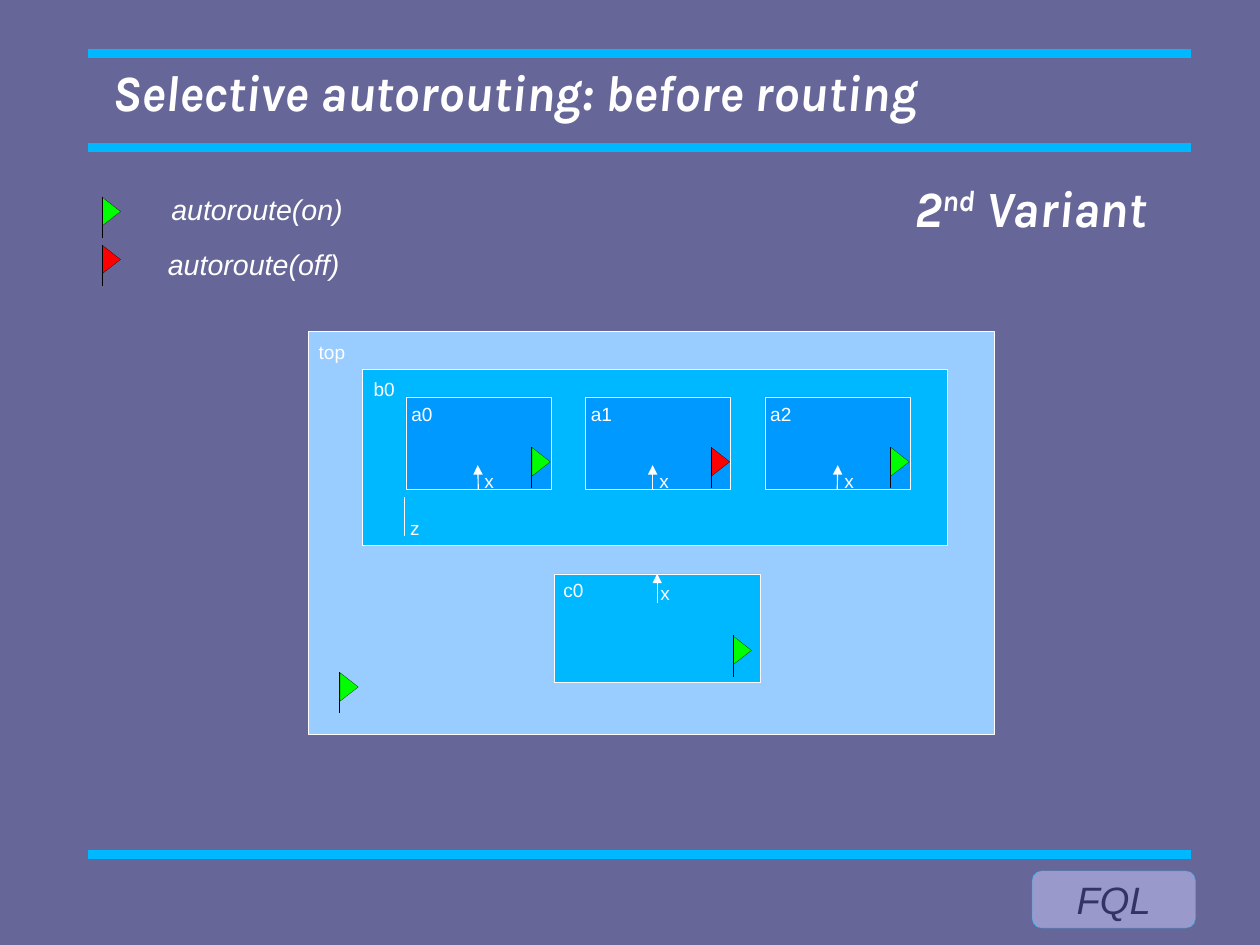
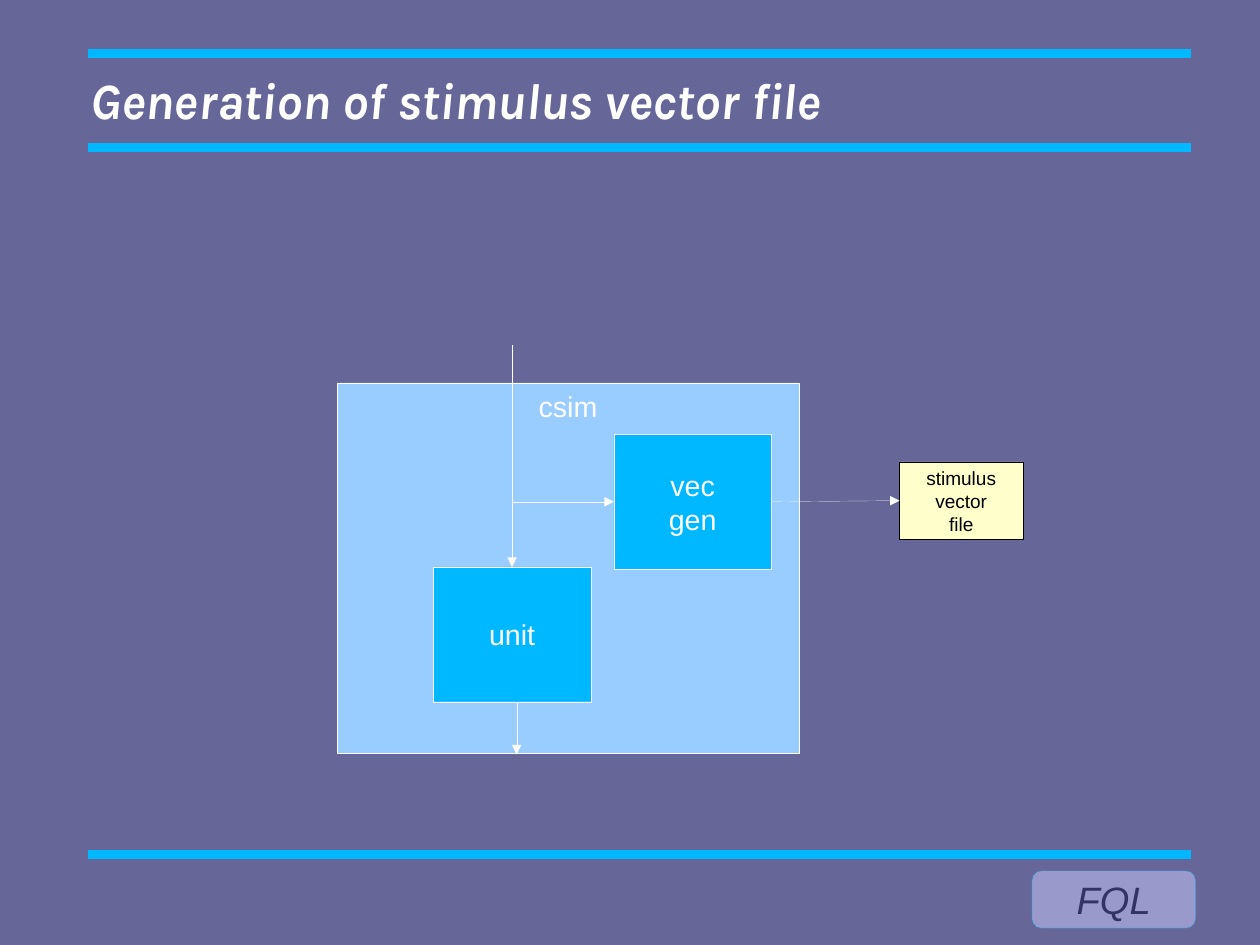
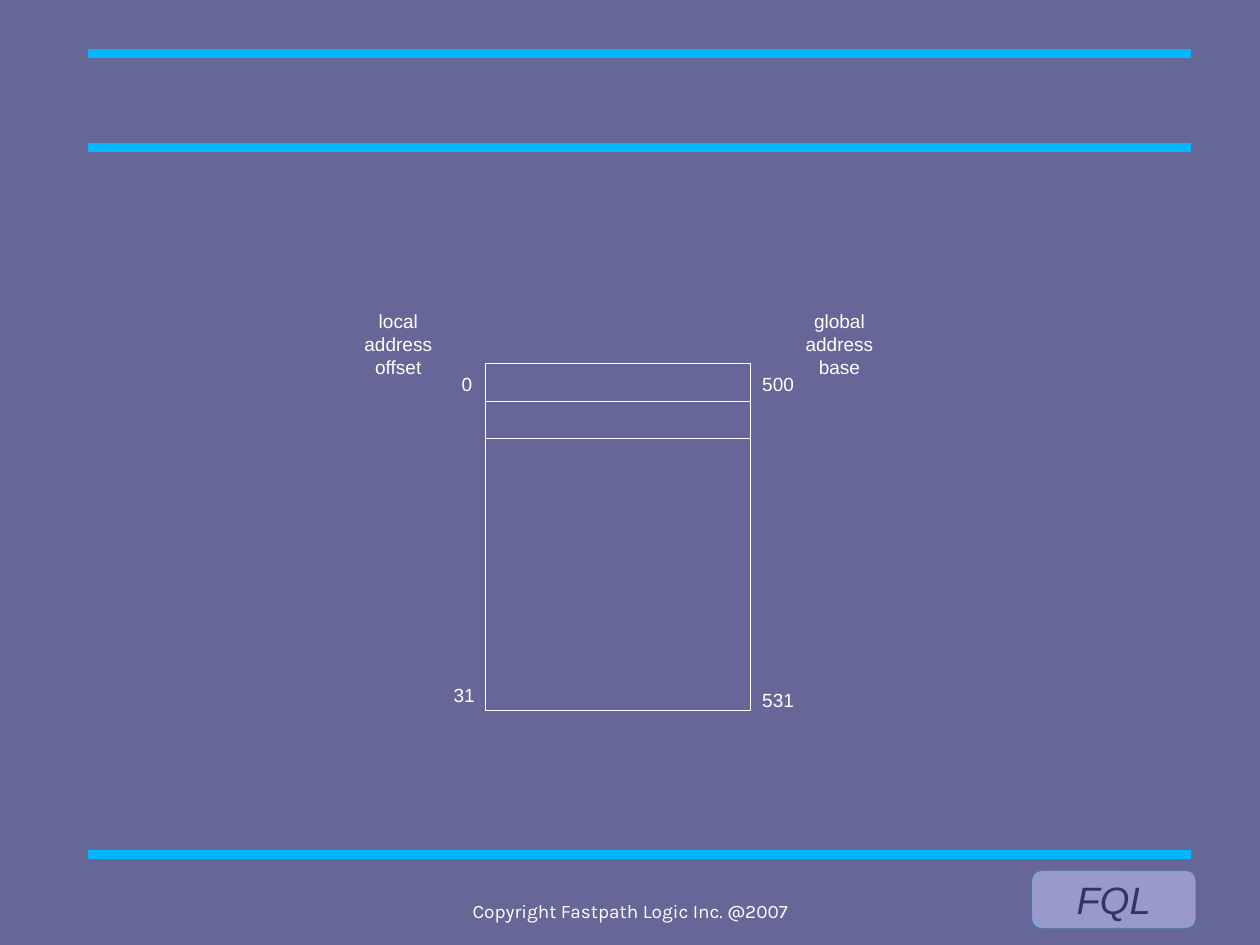
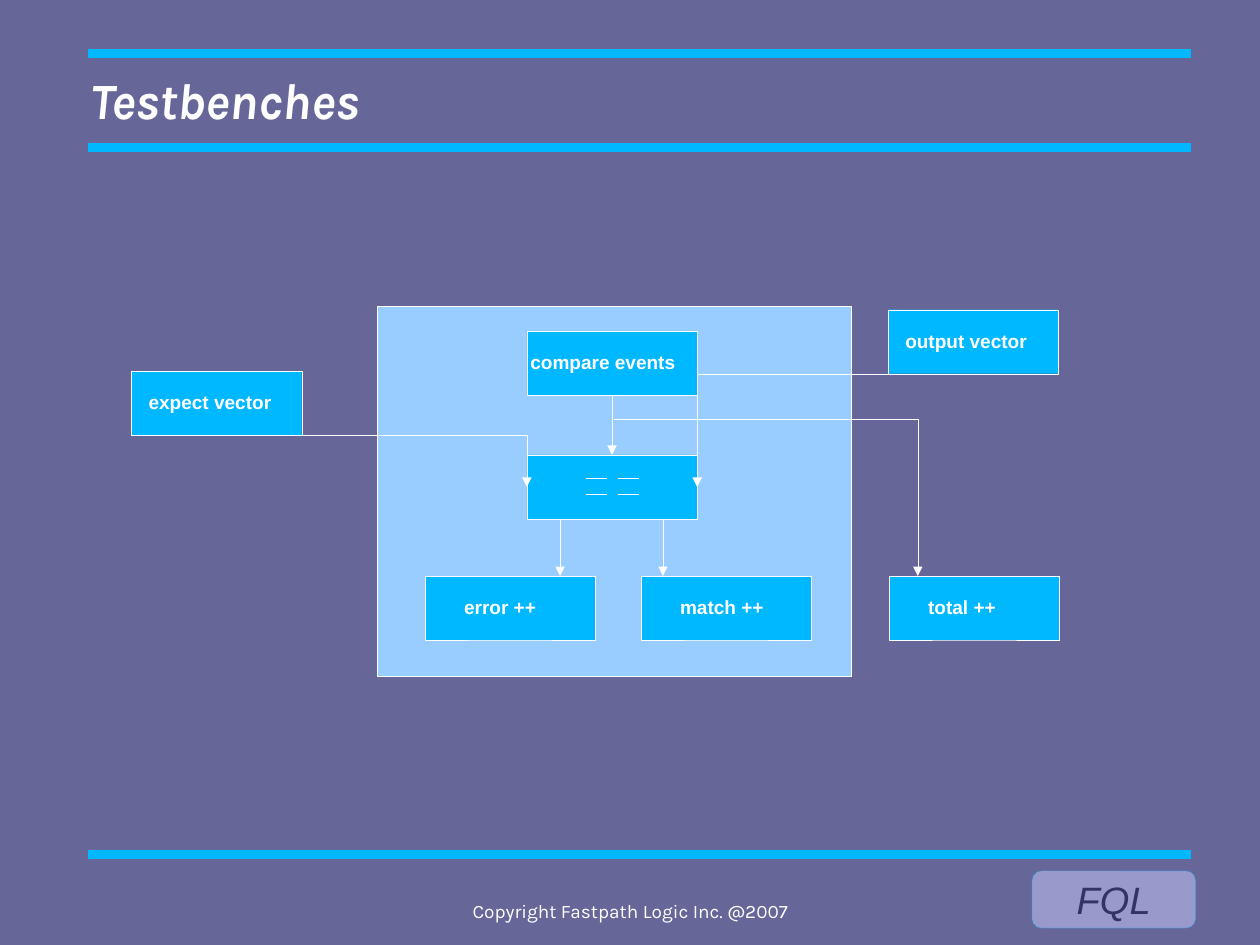
from lxml.etree import SubElement
from pptx import Presentation
from pptx.dml.color import RGBColor
from pptx.enum.shapes import MSO_CONNECTOR, MSO_SHAPE
from pptx.enum.text import MSO_ANCHOR, MSO_AUTO_SIZE, PP_ALIGN
from pptx.oxml.ns import qn
from pptx.util import Cm, Inches, Pt

WIDTH_CM, HEIGHT_CM = 28, 21
HAIRLINE = 0.1
WHITE, BLACK, PURPLE = "FFFFFF", "000000", "666699"
PALE, CYAN, BLUE, CREAM = "99CCFF", "00B8FF", "0099FF", "FFFFCC"
GREEN, RED = "00FF00", "FF0000"
BANDS = (0.47, 7.48, 1.29)
BAND_LEFT, BAND_RIGHT = 0.77, 10.42
BADGE = "FQL"
COPYRIGHT = "Copyright Fastpath Logic Inc. @2007"
TITLE_BOX = (0.79, 0.28, 9.41, 1.18)
TITLE_FORMAT = dict(size=32, font="Karla", bold=True, italic=True,
                    anchor=MSO_ANCHOR.MIDDLE, insets=(0, 0, 0, 0))

LEGEND = [("autoroute(on)", GREEN, 1.4, 1.63, 1.72),
          ("autoroute(off)", RED, 1.37, 2.11, 2.14)]
CELLS = [("a0", GREEN, 4.18), ("a1", RED, 5.71), ("a2", GREEN, 7.33)]
CELL_LEFT, CELL_TOP, CELL_STEP, CELL_W, CELL_H = 3.55, 3.47, 1.57, 1.27, 0.81

ADDRESS_BOX = (4.24, 3.18, 2.32, 3.03)
ADDRESS_ROWS = (3.51, 3.83)
ADDRESS_LABELS = [("0", 3.94, 3.21), ("31", 3.87, 5.93),
                  ("500", 6.57, 3.21), ("531", 6.57, 5.97)]
ADDRESS_HEADS = [("local\naddress\noffset", 3.05), ("global\naddress\nbase", 6.91)]

STEP_W, STEP_H = 1.49, 0.56
STEPS = [("expect vector", 1.15, 3.25, 0.15), ("compare events", 4.61, 2.9, 0.03),
         ("error ++", 3.72, 5.04, 0.34), ("match ++", 5.61, 5.04, 0.34),
         ("total ++", 7.78, 5.04, 0.34), ("output vector", 7.77, 2.71, 0.15),
         ("", 4.61, 3.98, 0)]
EQUALS_X, EQUALS_Y, EQUALS_DASH = (5.13, 5.41), (4.18, 4.32), 0.18
ELBOWS = [(1.9, 3.81, 4.61, 4.26), (5.37, 3.67, 8.03, 5.04), (8.52, 3.27, 6.1, 4.26)]


def color(hex_text):
    return RGBColor.from_string(hex_text)


def inches(*lengths):
    return [Inches(length) for length in lengths]


def write(shape, text, size=12, font="Arial", fill=WHITE, bold=False, italic=False,
          align=PP_ALIGN.LEFT, anchor=MSO_ANCHOR.TOP, insets=(0.1, 0.05, 0.1, 0.05)):
    frame = shape.text_frame
    frame.word_wrap = True
    frame.auto_size = MSO_AUTO_SIZE.NONE
    frame.vertical_anchor = anchor
    (frame.margin_left, frame.margin_top,
     frame.margin_right, frame.margin_bottom) = inches(*insets)
    for index, words in enumerate(text.split("\n")):
        paragraph = frame.add_paragraph() if index else frame.paragraphs[0]
        paragraph.alignment = align
        for piece in words.split("^"):
            run = paragraph.add_run()
            run.text = piece
            run.font.name, run.font.size = font, Pt(size)
            run.font.bold, run.font.italic = bold, italic
            run.font.color.rgb = color(fill)
    return shape


def label(slide, text, left, top, width=0.55, height=0.29, **style):
    return write(slide.shapes.add_textbox(*inches(left, top, width, height)), text, **style)


def block(slide, box, fill=None, outline=WHITE, kind=MSO_SHAPE.RECTANGLE):
    shape = slide.shapes.add_shape(kind, *inches(*box))
    shape.shadow.inherit = False
    if fill:
        shape.fill.solid()
        shape.fill.fore_color.rgb = color(fill)
    else:
        shape.fill.background()
    shape.line.color.rgb = color(outline)
    shape.line.width = Pt(HAIRLINE)
    return shape


def line(slide, x1, y1, x2, y2, stroke=WHITE, width=HAIRLINE, arrow=False, elbow=False,
         begin=None, end=None):
    connector = slide.shapes.add_connector(MSO_CONNECTOR.STRAIGHT, *inches(x1, y1, x2, y2))
    if begin:
        connector.begin_connect(*begin)
    if end:
        connector.end_connect(*end)
    connector.line.color.rgb = color(stroke)
    connector.line.width = Pt(width)
    if elbow:
        connector.element.xpath(".//a:prstGeom")[0].set("prst", "bentConnector2")
    if arrow:
        SubElement(connector.element.xpath(".//a:ln")[0], qn("a:tailEnd")).set("type", "triangle")
    SubElement(connector.element.spPr, qn("a:effectLst"))
    return connector


def flag(slide, x, y, fill):
    group = slide.shapes.add_group_shape()
    pennant = block(group, (x - 0.04, y + 0.05, 0.25, 0.16), fill, BLACK,
                    MSO_SHAPE.FLOWCHART_MERGE)
    pennant.rotation = 270
    line(group, x, y, x, y + 0.36, BLACK)


def add_slide(deck, title=None, box=TITLE_BOX):
    slide = deck.slides.add_slide(deck.slide_layouts[5 if title else 6])
    if title:
        heading = slide.shapes.title
        heading.left, heading.top, heading.width, heading.height = inches(*box)
        write(heading, title, **TITLE_FORMAT)
    return slide


def add_copyright(slide):
    label(slide, COPYRIGHT, 3.77, 7.87, 3.49, 0.23, font="Karla",
          align=PP_ALIGN.CENTER, insets=(0, 0, 0, 0))


def build_master(deck, slide):
    master = deck.slide_master
    master.background.fill.solid()
    master.background.fill.fore_color.rgb = color(PURPLE)
    shared = [line(slide, BAND_LEFT, y, BAND_RIGHT, y, CYAN, 5.67) for y in BANDS]
    badge = block(slide, (9.03, 7.62, 1.43, 0.5), "9999CC", CYAN, MSO_SHAPE.ROUNDED_RECTANGLE)
    shared.append(write(badge, BADGE, size=24, fill="333366", italic=True,
                        align=PP_ALIGN.CENTER, anchor=MSO_ANCHOR.MIDDLE, insets=(0, 0, 0, 0)))
    for number, part in enumerate(shared, 100):
        part.element.xpath(".//p:cNvPr")[0].set("id", str(number))
        master.shapes.element.append(part.element)


def build_autorouting(slide):
    block(slide, (2.7, 2.9, 6, 3.52), PALE)
    block(slide, (3.17, 3.23, 5.12, 1.54), CYAN)
    label(slide, "top", 2.69, 2.93)
    label(slide, "b0", 3.17, 3.25)
    bottom = CELL_TOP + CELL_H
    for index, (name, fill, arrow_x) in enumerate(CELLS):
        left = CELL_LEFT + index * CELL_STEP
        cell = block(slide, (left, CELL_TOP, CELL_W, CELL_H), BLUE)
        label(slide, name, left - 0.05, CELL_TOP)
        label(slide, "x", arrow_x - 0.04, 4.06, 0.4)
        centred = abs(left + CELL_W / 2 - arrow_x) < 0.03
        line(slide, arrow_x, bottom, arrow_x, 4.07, width=0.71, arrow=True,
             begin=(cell, 2) if centred else None)
        flag(slide, left + 1.1, 3.91, fill)
    line(slide, 3.54, 4.35, 3.54, 4.69, width=0.71)
    label(slide, "z", 3.49, 4.47, 0.4)
    c0 = block(slide, (4.85, 5.02, 1.8, 0.95), CYAN)
    label(slide, "c0", 4.83, 5.01)
    line(slide, 5.75, 5.28, 5.75, 5.02, width=0.71, arrow=True, end=(c0, 0))
    label(slide, "x", 5.68, 5.04, 0.4)
    flag(slide, 6.41, 5.56, GREEN)
    flag(slide, 2.97, 5.88, GREEN)
    for text, fill, left, top, flag_top in LEGEND:
        flag(slide, 0.89, flag_top, fill)
        label(slide, text, left, top, 1.78, 0.68, size=18, italic=True)
    variant = label(slide, "2^nd^ Variant", 8, 1.29, 2.39, 1.05, **TITLE_FORMAT)
    variant.element.xpath(".//a:r/a:rPr")[1].set("baseline", "33000")


def build_stimulus(slide):
    centred = dict(size=18, align=PP_ALIGN.CENTER)
    middle = dict(centred, anchor=MSO_ANCHOR.MIDDLE)
    write(block(slide, (2.95, 3.35, 4.04, 3.24), PALE), "csim", **centred)
    unit = write(block(slide, (3.79, 4.96, 1.38, 1.18), CYAN), "unit", **middle)
    generator = write(block(slide, (5.37, 3.8, 1.38, 1.18), CYAN), "vec\ngen", **middle)
    vector_file = write(block(slide, (7.87, 4.04, 1.08, 0.68), CREAM, BLACK),
                        "stimulus\nvector\nfile", **dict(middle, size=12, fill=BLACK))
    line(slide, 4.48, 4.39, 5.37, 4.39, arrow=True, end=(generator, 1))
    line(slide, 6.75, 4.39, 7.87, 4.38, arrow=True, begin=(generator, 3), end=(vector_file, 1))
    line(slide, 4.48, 3.02, 4.48, 4.96, arrow=True, end=(unit, 0))
    line(slide, 4.52, 6.14, 4.52, 6.6, arrow=True)


def build_addresses(slide):
    left, _, width, _ = ADDRESS_BOX
    block(slide, ADDRESS_BOX)
    for y in ADDRESS_ROWS:
        line(slide, left, y, left + width, y)
    for text, x, y in ADDRESS_LABELS:
        label(slide, text, x, y)
    for text, x in ADDRESS_HEADS:
        label(slide, text, x, 2.66, 0.87, 0.72, align=PP_ALIGN.CENTER)
    add_copyright(slide)


def build_testbenches(slide):
    block(slide, (3.3, 2.68, 4.15, 3.24), PALE)
    steps = {}
    for text, left, top, indent in STEPS:
        steps[text] = block(slide, (left, top, STEP_W, STEP_H), CYAN)
        if text:
            write(steps[text], text, bold=True, anchor=MSO_ANCHOR.MIDDLE,
                  insets=(indent, 0.05, 0, 0.07))
    for x in EQUALS_X:
        for y in EQUALS_Y:
            line(slide, x, y, x + EQUALS_DASH, y)
    for x in (4.9, 5.8):
        line(slide, x, 4.54, x, 5.04, arrow=True)
    line(slide, 5.36, 3.46, 5.36, 3.98, arrow=True,
         begin=(steps["compare events"], 2), end=(steps[""], 0))
    for ends in ELBOWS:
        line(slide, *ends, arrow=True, elbow=True)
    add_copyright(slide)


def main():
    deck = Presentation()
    deck.slide_width, deck.slide_height = Cm(WIDTH_CM), Cm(HEIGHT_CM)
    autorouting = add_slide(deck, "Selective autorouting: before routing",
                            (0.98, 0.21, 10.17, 1.18))
    build_master(deck, autorouting)
    build_autorouting(autorouting)
    build_stimulus(add_slide(deck, "Generation of stimulus vector file"))
    build_addresses(add_slide(deck))
    build_testbenches(add_slide(deck, "Testbenches"))
    deck.save("out.pptx")


if __name__ == "__main__":
    main()
